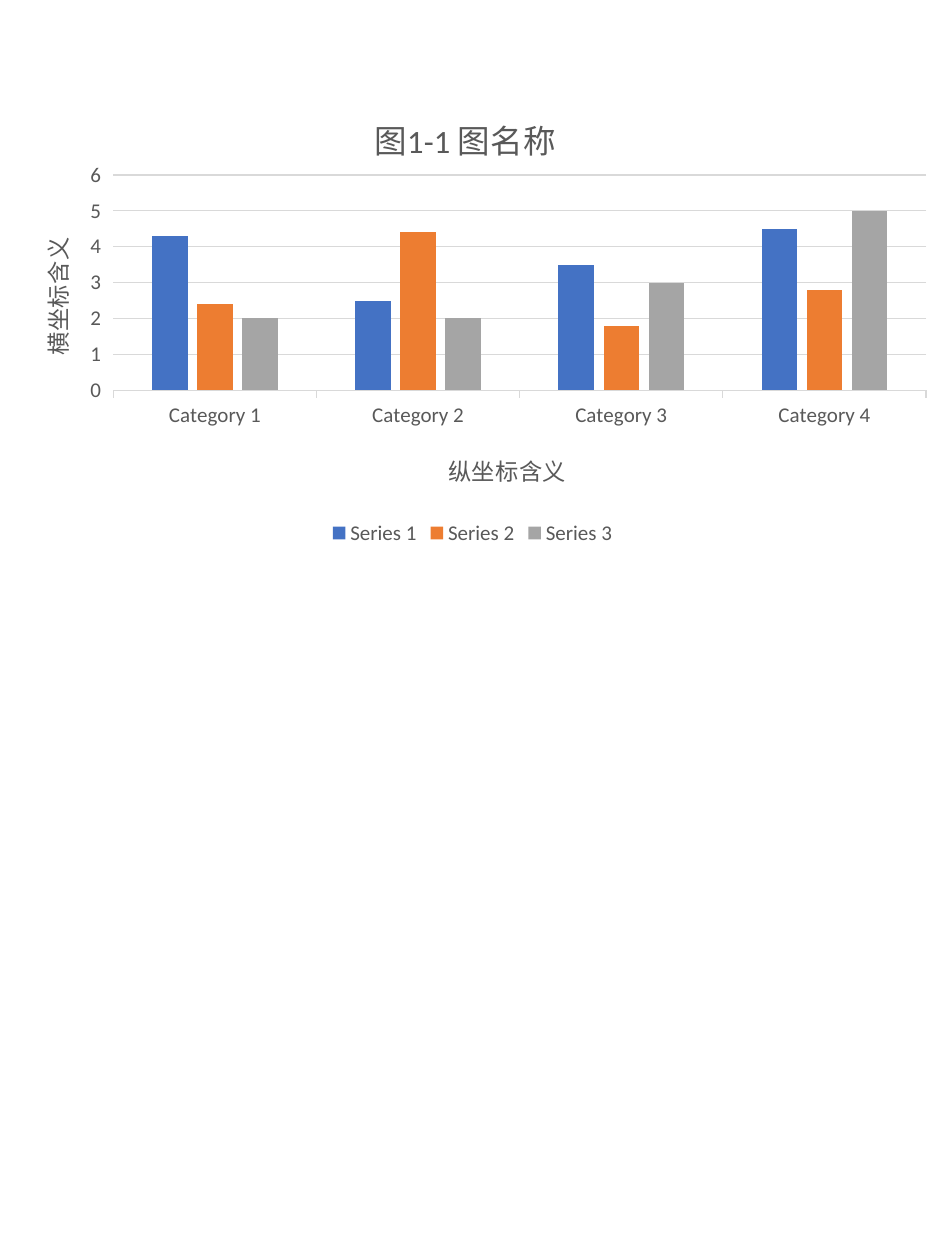
from pptx import Presentation
from pptx.chart.data import CategoryChartData as Data
from pptx.dml.color import RGBColor as RGB
from pptx.enum.chart import XL_CHART_TYPE as Kind, XL_LEGEND_POSITION as Side
from pptx.enum.chart import XL_TICK_MARK as Tick
from pptx.oxml import parse_xml
from pptx.oxml.ns import nsdecls, qn
from pptx.util import Inches, Pt

# Content
TITLE = "图1-1 图名称"
CAT_NAME = "纵坐标含义"
VAL_NAME = "横坐标含义"
CATS = ["Category 1", "Category 2", "Category 3", "Category 4"]
SERIES = [
    ("Series 1", (4.3, 2.5, 3.5, 4.5), "4472C4"),
    ("Series 2", (2.4, 4.4, 1.8, 2.8), "ED7D31"),
    ("Series 3", (2, 2, 3, 5), "A5A5A5"),
]
THEME = {"font": "Calibri", "text": "595959", "rule": "D9D9D9",
         "title": 18.6, "name": 13.3, "label": 12}


def style(font, size):
    font.name = THEME["font"]
    font.size = Pt(size)
    font.bold = False
    font.color.rgb = RGB.from_string(THEME["text"])


def rule(line):
    line.color.rgb = RGB.from_string(THEME["rule"])
    line.width = Pt(0.75)


def place(node, spot, inner=False):
    """Fix a chart part at (x, y[, w, h]), as fractions of the chart."""
    for old in node.findall(qn("c:layout")):
        node.remove(old)
    tags = '<c:layoutTarget val="inner"/>' if inner else ""
    tags += '<c:xMode val="edge"/><c:yMode val="edge"/>'
    tags += "".join(f'<c:{k} val="{v}"/>' for k, v in zip("xywh", spot))
    lay = parse_xml(f'<c:layout {nsdecls("c")}><c:manualLayout>{tags}'
                    '</c:manualLayout></c:layout>')
    text = node.find(qn("c:tx"))
    if text is None:
        node.insert(0, lay)
    else:
        text.addnext(lay)


def label(title, text, size, spot, turn=0):
    frame = title.text_frame
    frame.text = text
    style(frame.paragraphs[0].font, size)
    style(frame.paragraphs[0].runs[0].font, size)
    body = frame._txBody.find(qn("a:bodyPr"))
    body.set("rot", str(turn * 60000))
    body.set("vert", "horz")
    place(title._element, spot)


def main():
    deck = Presentation()
    deck.slide_width, deck.slide_height = Inches(7.5), Inches(10)
    slide = deck.slides.add_slide(deck.slide_layouts[6])

    # Chart with its data
    data = Data()
    data.categories = CATS
    for name, vals, _ in SERIES:
        data.add_series(name, vals)
    chart = slide.shapes.add_chart(
        Kind.COLUMN_CLUSTERED, Inches(0), Inches(0.61),
        Inches(7.5), Inches(3.76), data).chart
    style(chart.font, THEME["label"])

    # Columns
    plot = chart.plots[0]
    plot.gap_width, plot.overlap = 219, -27
    plot.vary_by_categories = False
    for bar, (_, _, color) in zip(plot.series, SERIES):
        bar.format.fill.solid()
        bar.format.fill.fore_color.rgb = RGB.from_string(color)
    area = chart._chartSpace.chart.plotArea
    place(area, (0.12, 0.207, 0.86, 0.455), inner=True)

    # Axes
    cat, val = chart.category_axis, chart.value_axis
    for axis in (cat, val):
        axis.major_tick_mark = Tick.OUTSIDE
        axis.minor_tick_mark = Tick.NONE
        style(axis.tick_labels.font, THEME["label"])
    rule(cat.format.line)
    val.format.line.fill.background()
    val.minimum_scale, val.maximum_scale, val.major_unit = 0, 6, 1
    val.has_major_gridlines = True
    rule(val.major_gridlines.format.line)

    # Titles
    label(chart.chart_title, TITLE, THEME["title"], (0.39, 0.06))
    label(cat.axis_title, CAT_NAME, THEME["name"], (0.47, 0.78))
    label(val.axis_title, VAL_NAME, THEME["name"], (0.035, 0.33), -90)

    # Legend
    chart.has_legend = True
    chart.legend.position = Side.BOTTOM
    chart.legend.include_in_layout = False
    style(chart.legend.font, THEME["label"])

    deck.save("out.pptx")


if __name__ == "__main__":
    main()
